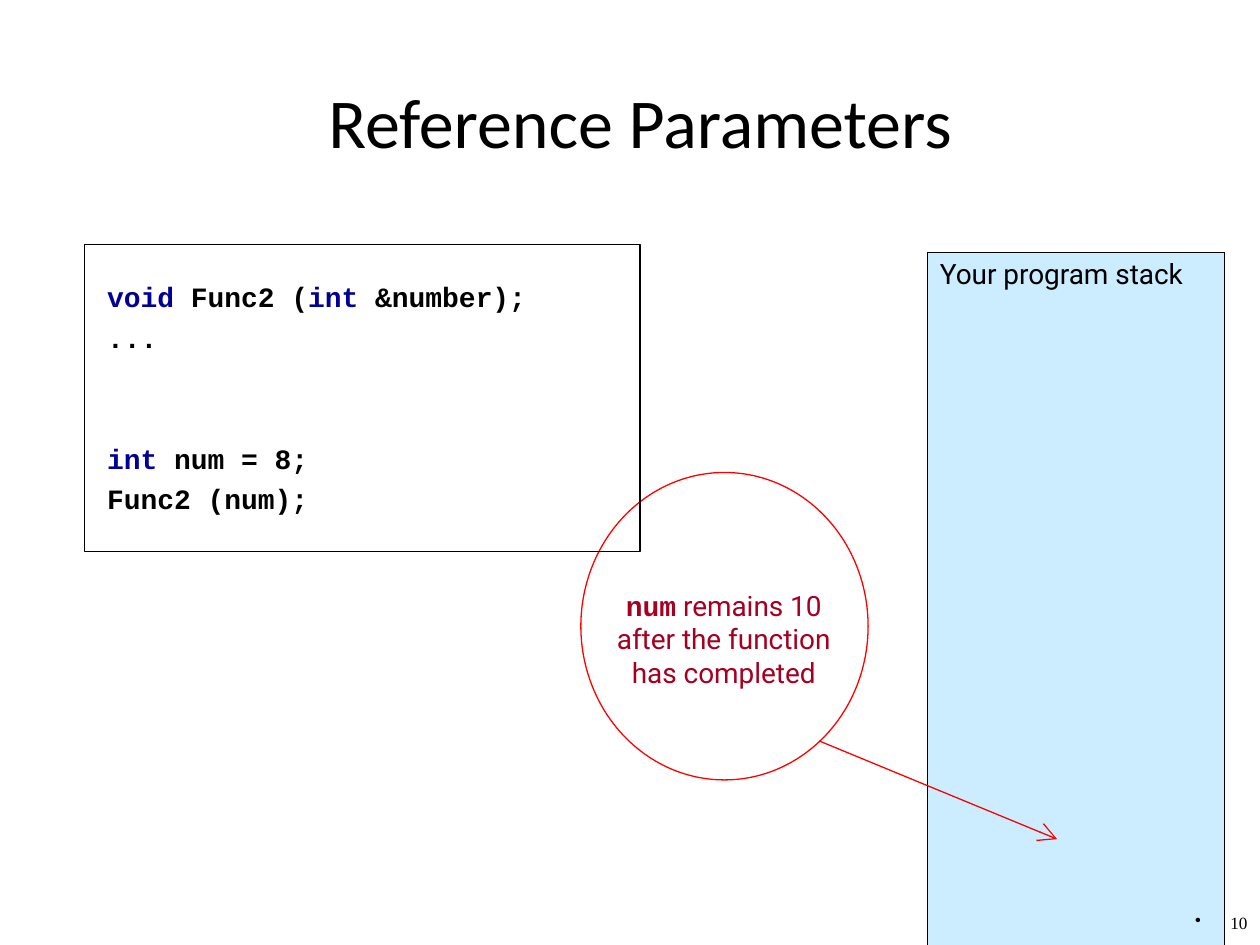
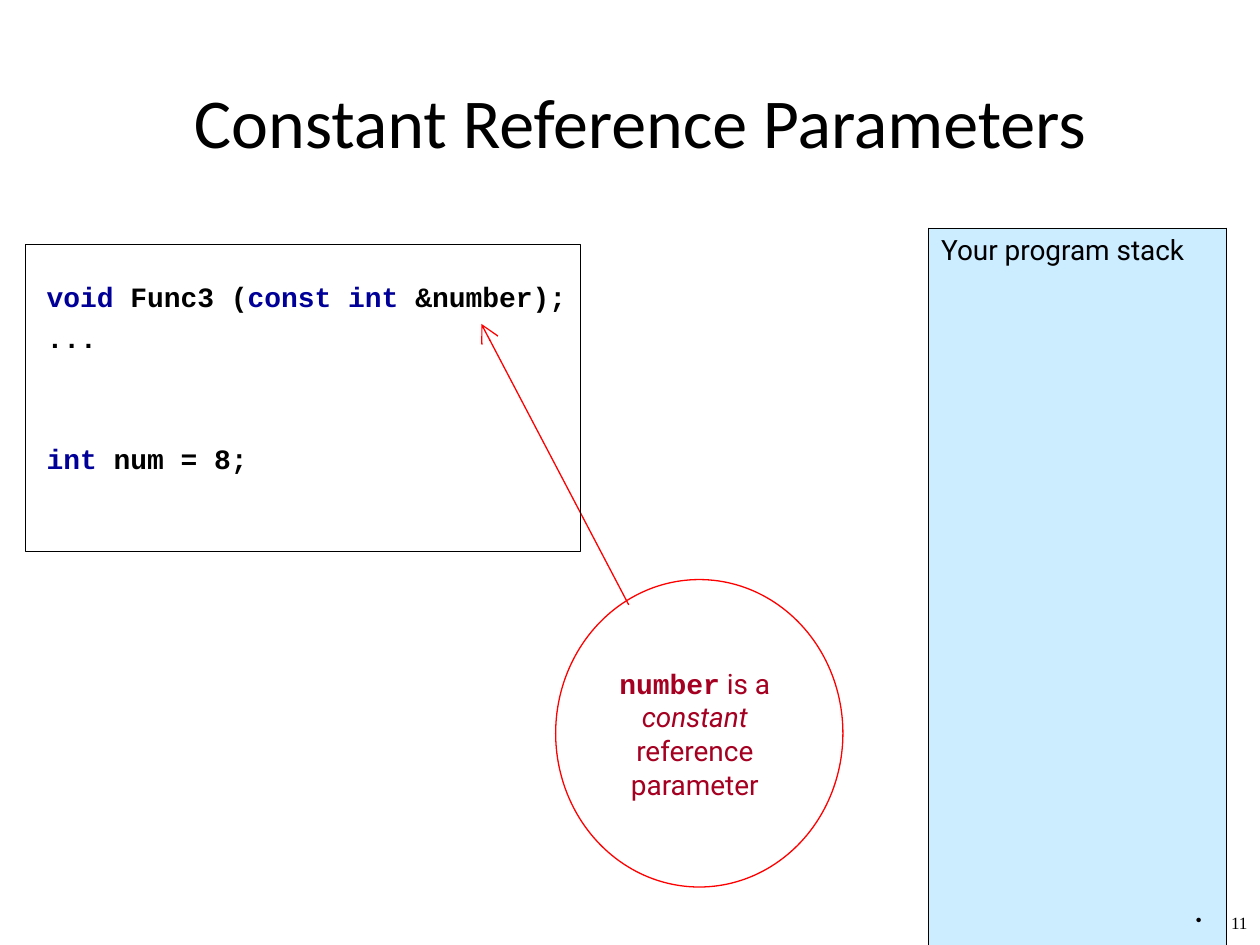
from dataclasses import dataclass
from typing import Any, NamedTuple

import pptx
import pptx.dml.color
import pptx.enum.shapes
import pptx.enum.text
import pptx.oxml
import pptx.oxml.ns
import pptx.util

Inches = pptx.util.Inches
Pt = pptx.util.Pt
SHAPE = pptx.enum.shapes.MSO_SHAPE
ALIGN = pptx.enum.text.PP_ALIGN
NO_AUTOFIT = pptx.enum.text.MSO_AUTO_SIZE.NONE
NAMESPACE = pptx.oxml.ns.nsdecls("a")

COLORS = {
    "black": "000000",
    "keyword": "000099",
    "callout": "A50021",
    "arrow": "FF0000",
    "stack": "CCECFF",
}
STYLES: dict[str, dict[str, Any]] = {
    "title": {"name": "Calibri", "size": Pt(40), "color": "black"},
    "code": {"name": "Courier New", "size": Pt(16), "bold": True, "color": "black"},
    "keyword": {"name": "Courier New", "size": Pt(16), "bold": True, "color": "keyword"},
    "stack": {"name": "Roboto", "size": Pt(16), "color": "black"},
    "note": {"name": "Roboto", "size": Pt(16), "color": "callout"},
    "note_code": {"name": "Courier New", "size": Pt(16), "bold": True, "color": "callout"},
    "note_italic": {"name": "Roboto", "size": Pt(16), "italic": True, "color": "callout"},
    "number": {"name": "Times New Roman", "size": Pt(9.8), "color": "black"},
}
SLIDE_WIDTH, SLIDE_HEIGHT = 10, 7.5
STACK_ROWS = 12
NAME_WIDTH, STACK_WIDTH = 0.95, 2.36
NO_TABLE_STYLE = "{2D5ABB26-0587-4C30-8999-92F81FD0307C}"
LINE_GAP = 4
BLOCK_GAP = 50


class Run(NamedTuple):
    text: str
    style: str


class Box(NamedTuple):
    left: float
    top: float
    width: float
    height: float


class CodeLine(NamedTuple):
    runs: list[Run]
    space_before: float = LINE_GAP


class Point(NamedTuple):
    x: float
    y: float


@dataclass
class Lesson:
    title: str
    number: int
    code: list[CodeLine]
    code_box: Box
    frame_left: float
    stack_corner: Point
    margin_width: float
    note: list[Run]
    note_corner: Point
    circle_corner: Point
    arrow_start: Point
    arrow_end: Point


LESSONS = [
    Lesson(
        title="Reference Parameters",
        number=10,
        code=[
            CodeLine([Run("void", "keyword"), Run(" Func2 (", "code"),
                      Run("int", "keyword"), Run(" &number);", "code")], 0),
            CodeLine([Run("...", "code")]),
            CodeLine([Run("int", "keyword"), Run(" num = 8;", "code")], BLOCK_GAP),
            CodeLine([Run("Func2 (num);", "code")]),
        ],
        code_box=Box(0.75, 2.17, 3.78, 2.21),
        frame_left=0.67,
        stack_corner=Point(5.39, 2),
        margin_width=1.02,
        note=[Run("num", "note_code"),
              Run(" remains 10 after the function has completed", "note")],
        note_corner=Point(4.76, 4.62),
        circle_corner=Point(4.61, 3.75),
        arrow_start=Point(6.5, 5.88),
        arrow_end=Point(8.39, 6.66),
    ),
    Lesson(
        title="Constant Reference Parameters",
        number=11,
        code=[
            CodeLine([Run("void", "keyword"), Run(" Func3 (", "code"),
                      Run("const int", "keyword"), Run(" &number);", "code")], 0),
            CodeLine([Run("...", "code")]),
            CodeLine([Run("int", "keyword"), Run(" num = 8;", "code")], BLOCK_GAP),
        ],
        code_box=Box(0.27, 2.17, 4.72, 4.88),
        frame_left=0.2,
        stack_corner=Point(5.56, 1.81),
        margin_width=0.86,
        note=[Run("number", "note_code"), Run(" is a ", "note"),
              Run("constant ", "note_italic"), Run("reference parameter", "note")],
        note_corner=Point(4.53, 5.24),
        circle_corner=Point(4.41, 4.6),
        arrow_start=Point(4.99, 4.8),
        arrow_end=Point(3.82, 2.57),
    ),
]


def rgb(color: str) -> pptx.dml.color.RGBColor:
    return pptx.dml.color.RGBColor.from_string(COLORS[color])


def add_runs(paragraph, runs: list[Run]) -> None:
    for text, style in runs:
        run = paragraph.add_run()
        run.text = text
        for attribute, value in STYLES[style].items():
            if attribute == "color":
                run.font.color.rgb = rgb(value)
            else:
                setattr(run.font, attribute, value)


def move(shape, box: Box) -> None:
    for attribute, value in box._asdict().items():
        setattr(shape, attribute, Inches(value))


def set_bullet(paragraph, bullet: str, hanging: float) -> None:
    """Put the bullet element into the paragraph with a hanging indent in inches."""
    properties = paragraph._p.get_or_add_pPr()
    properties.set("marL", str(Inches(hanging)))
    properties.set("indent", str(-Inches(hanging)))
    properties.append(pptx.oxml.parse_xml(f"<a:{bullet} {NAMESPACE}/>"))


def fill_title(slide, text: str) -> None:
    title = slide.shapes.title
    move(title, Box(0.83, 0.6, 8.5, 0.71))
    title.text_frame.auto_size = NO_AUTOFIT
    title.text_frame.vertical_anchor = pptx.enum.text.MSO_ANCHOR.MIDDLE
    paragraph = title.text_frame.paragraphs[0]
    paragraph.alignment = ALIGN.CENTER
    add_runs(paragraph, [Run(text, "title")])


def fill_code(slide, lesson: Lesson) -> None:
    body = slide.placeholders[1]
    move(body, lesson.code_box)
    frame = body.text_frame
    frame.auto_size = NO_AUTOFIT
    for index, line in enumerate(lesson.code):
        paragraph = frame.add_paragraph() if index else frame.paragraphs[0]
        set_bullet(paragraph, "buNone", 0)
        paragraph.space_before = Pt(line.space_before)
        add_runs(paragraph, line.runs)


def add_borders(cell, sides: str) -> None:
    """Draw thin black lines on the given sides, in the order L, R, T, B."""
    properties = cell._tc.get_or_add_tcPr()
    for side in sides:
        properties.append(pptx.oxml.parse_xml(
            f'<a:ln{side} {NAMESPACE} w="{Pt(0.45)}"><a:solidFill>'
            f'<a:srgbClr val="{COLORS["black"]}"/></a:solidFill></a:ln{side}>'))


def add_stack(slide, lesson: Lesson) -> None:
    """Add the stack table, reaching from its corner to the slide's bottom edge."""
    widths = [lesson.margin_width, NAME_WIDTH, STACK_WIDTH]
    left, top = lesson.stack_corner
    table = slide.shapes.add_table(
        STACK_ROWS, len(widths), Inches(left), Inches(top),
        Inches(sum(widths)), Inches(SLIDE_HEIGHT - top)).table
    table.first_row = table.horz_banding = False
    style = table._tbl.tblPr.find(pptx.oxml.ns.qn("a:tableStyleId"))
    style.text = NO_TABLE_STYLE
    for column, width in zip(table.columns, widths):
        column.width = Inches(width)

    for row in range(STACK_ROWS):
        for column, sides in enumerate(("", "R", "LR" if row else "LRT")):
            cell = table.cell(row, column)
            add_borders(cell, sides)
            if column == 2:
                cell.fill.solid()
                cell.fill.fore_color.rgb = rgb("stack")
            else:
                cell.fill.background()

    heading = table.cell(0, 2).text_frame.paragraphs[0]
    heading.alignment = ALIGN.JUSTIFY
    add_runs(heading, [Run("Your program stack", "stack")])


def add_text(slide, box: Box, runs: list[Run], alignment):
    frame = slide.shapes.add_textbox(*map(Inches, box)).text_frame
    frame.word_wrap = True
    paragraph = frame.paragraphs[0]
    paragraph.alignment = alignment
    add_runs(paragraph, runs)
    return paragraph


def add_slide_number(slide, number: int) -> None:
    paragraph = add_text(slide, Box(9.36, 7.22, 0.64, 0.28),
                         [Run(str(number), "number")], ALIGN.RIGHT)
    set_bullet(paragraph, 'buChar char="•"', 0.28)
    paragraph.line_spacing = 0.8


def add_outline(slide, kind, box: Box, color: str) -> None:
    outline = slide.shapes.add_shape(kind, *map(Inches, box))
    outline.shadow.inherit = False
    outline.fill.background()
    outline.line.color.rgb = rgb(color)
    outline.line.width = Pt(0.75)


def add_arrow(slide, start: Point, end: Point) -> None:
    arrow = slide.shapes.add_connector(
        pptx.enum.shapes.MSO_CONNECTOR.STRAIGHT, *map(Inches, start + end))
    arrow.line.color.rgb = rgb("arrow")
    arrow.line.width = Pt(0.75)
    arrow.line._get_or_add_ln().append(pptx.oxml.parse_xml(
        f'<a:tailEnd {NAMESPACE} type="arrow" w="lg" len="lg"/>'))
    arrow._element.spPr.append(pptx.oxml.parse_xml(f"<a:effectLst {NAMESPACE}/>"))


def build_lesson(presentation, lesson: Lesson) -> None:
    slide = presentation.slides.add_slide(presentation.slide_layouts[1])
    fill_title(slide, lesson.title)
    fill_code(slide, lesson)
    add_stack(slide, lesson)
    add_slide_number(slide, lesson.number)
    add_text(slide, Box(*lesson.note_corner, 1.97, 1.17), lesson.note, ALIGN.CENTER)
    add_outline(slide, SHAPE.OVAL, Box(*lesson.circle_corner, 2.28, 2.44), "arrow")
    add_arrow(slide, lesson.arrow_start, lesson.arrow_end)
    add_outline(slide, SHAPE.RECTANGLE, Box(lesson.frame_left, 1.94, 4.41, 2.44), "black")


def main() -> None:
    presentation = pptx.Presentation()
    presentation.slide_width = Inches(SLIDE_WIDTH)
    presentation.slide_height = Inches(SLIDE_HEIGHT)
    for lesson in LESSONS:
        build_lesson(presentation, lesson)
    presentation.save("out.pptx")


if __name__ == "__main__":
    main()
